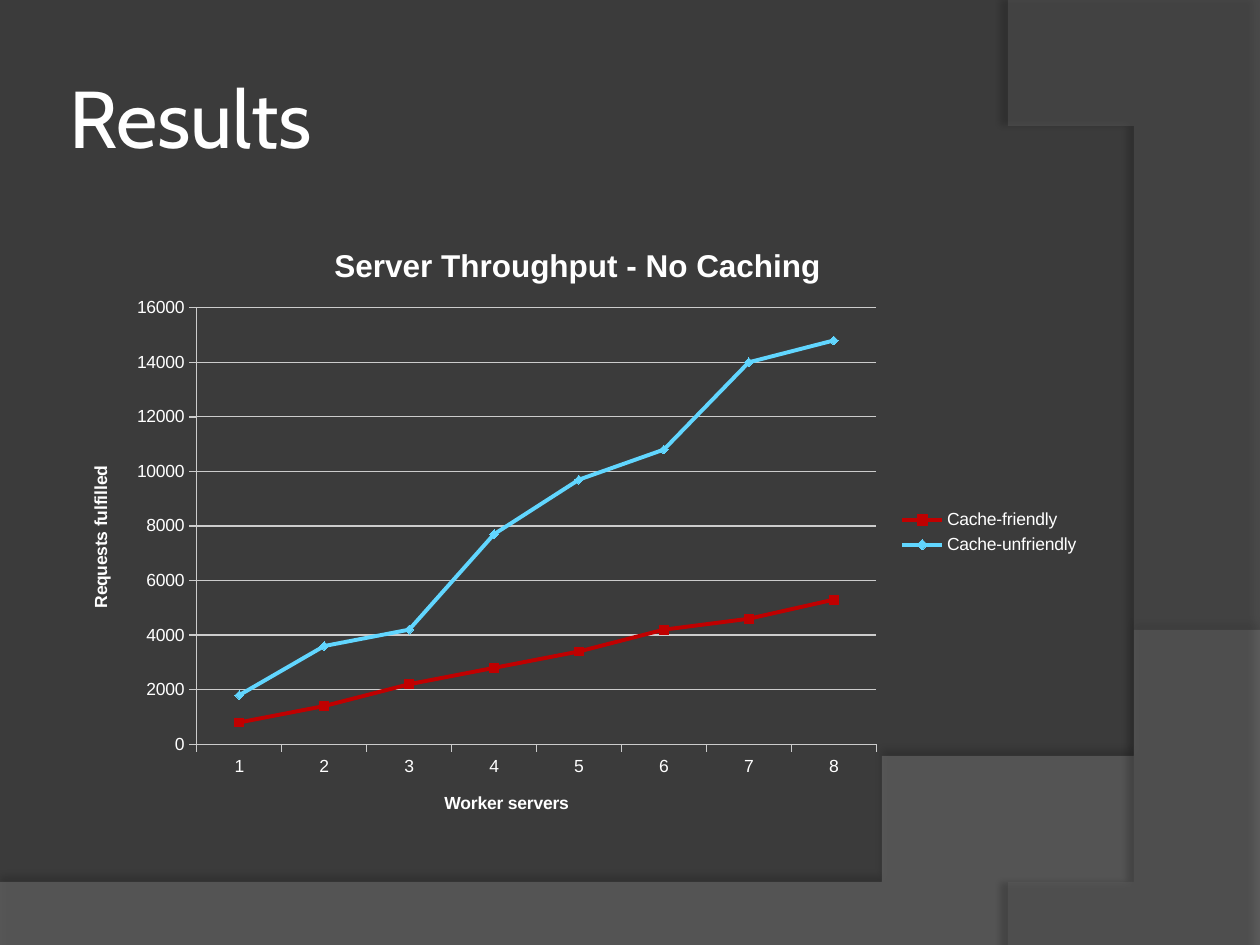
"""Build the Results slide: a server throughput line chart on a dark curved background."""
from lxml import etree
from pptx import Presentation
from pptx import util as u
from pptx.chart.data import CategoryChartData
from pptx.dml.color import RGBColor
from pptx.enum import chart as kinds, text
from pptx.oxml import parse_xml
from pptx.oxml.ns import nsdecls, qn

COLORS = {"back": "3B3B3B", "wave": "808080", "arc": "5F5F5F", "white": "FFFFFF",
          "grid": "CCCCCC", "red": "C00000", "blue": "61D6FF", "black": "000000"}
TITLE = "Results"
CHART_TITLE = "Server Throughput - No Caching"
AXIS_TITLES = {"category": "Worker servers", "value": "Requests fulfilled"}
WORKERS = [str(count) for count in range(1, 9)]
MARKERS = kinds.XL_MARKER_STYLE
SERIES = [
    ("Cache-friendly", [800, 1400, 2200, 2800, 3400, 4200, 4600, 5300], "red", MARKERS.SQUARE),
    ("Cache-unfriendly", [1800, 3600, 4200, 7700, 9700, 10800, 14000, 14800], "blue", MARKERS.DIAMOND),
]
SWOOSHES = [
    {"color": "wave", "opacity": 45, "corners": [(0, 7.05), (0, 7.51), (10, 7.51), (10, 5.2)],
     "curve": [(5.59, 7.29), (3.91, 7.19), (0, 7.05)],
     "shadow": {"opacity": 35, "distance": 3.5, "angle": 270}},
    {"color": "arc", "opacity": 40, "corners": [(10, 0.02), (10, 7.5), (8.21, 7.5)],
     "curve": [(9.35, 6.19), (10.18, 3), (8, 0)],
     "shadow": {"opacity": 45, "distance": 4, "angle": 180}},
]
PLOT = {"x": 0.13, "y": 0.14, "w": 0.66, "h": 0.7}


def rgb(name):
    return RGBColor.from_string(COLORS[name])


def style_font(font, size, color="white", face="Arial", bold=False):
    font.size, font.name, font.bold = u.Pt(size), face, bold
    font.color.rgb = rgb(color)


def bezier(points, steps=48):
    a, b, c, d = points
    for step in range(1, steps + 1):
        t = step / steps
        yield tuple((1 - t) ** 3 * p + 3 * (1 - t) ** 2 * t * q + 3 * (1 - t) * t * t * r + t ** 3 * s
                    for p, q, r, s in zip(a, b, c, d))


def add_swoosh(page, swoosh):
    corners = swoosh["corners"]
    outline = corners[1:] + list(bezier([corners[-1]] + swoosh["curve"]))
    builder = page.shapes.build_freeform(*corners[0], scale=u.Inches(1))
    builder.add_line_segments(outline, close=True)
    shape = builder.convert_to_shape()
    shape.fill.solid()
    shape.fill.fore_color.rgb = rgb(swoosh["color"])
    shape.line.fill.background()
    properties = shape.element.spPr
    fill = properties.find(qn("a:solidFill"))
    etree.SubElement(fill[0], qn("a:alpha"), val=str(swoosh["opacity"] * 1000))
    shadow = swoosh["shadow"]
    properties.append(parse_xml(
        f'<a:effectLst {nsdecls("a")}><a:outerShdw blurRad="{u.Pt(4)}" dist="{u.Pt(shadow["distance"])}" '
        f'dir="{shadow["angle"] * 60000}" algn="ctr" rotWithShape="0"><a:srgbClr val="{COLORS["black"]}">'
        f'<a:alpha val="{shadow["opacity"] * 1000}"/></a:srgbClr></a:outerShdw></a:effectLst>'))


def add_title(page):
    box = page.shapes.add_textbox(u.Inches(0.5), u.Inches(0.3), u.Inches(8.17), u.Inches(1.25))
    frame = box.text_frame
    frame.word_wrap = True
    frame.vertical_anchor = text.MSO_ANCHOR.MIDDLE
    frame.margin_left = frame.margin_right = frame.margin_top = frame.margin_bottom = u.Inches(0.05)
    span = frame.paragraphs[0].add_run()
    span.text = TITLE
    style_font(span.font, 46, face="Cabin")


def write_heading(owner, wording, size):
    span = owner.text_frame.paragraphs[0].add_run()
    span.text = wording
    style_font(span.font, size, bold=True)


def style_axis(axis, wording):
    write_heading(axis.axis_title, wording, 10)
    axis.major_tick_mark = kinds.XL_TICK_MARK.OUTSIDE
    axis.minor_tick_mark = kinds.XL_TICK_MARK.NONE
    axis.format.line.color.rgb = rgb("grid")
    axis.format.line.width = u.Pt(0.75)
    style_font(axis.tick_labels.font, 10)


def place_plot(chart):
    area = chart.element.chart.plotArea
    for old in area.findall(qn("c:layout")):
        area.remove(old)
    edges = "".join(f'<c:{key} val="{value}"/>' for key, value in PLOT.items())
    area.insert(0, parse_xml(
        f'<c:layout {nsdecls("c")}><c:manualLayout><c:layoutTarget val="inner"/>'
        f'<c:xMode val="edge"/><c:yMode val="edge"/>{edges}</c:manualLayout></c:layout>'))


def add_throughput_chart(page):
    data = CategoryChartData()
    data.categories = WORKERS
    for name, values, _, _ in SERIES:
        data.add_series(name, values)
    chart = page.shapes.add_chart(kinds.XL_CHART_TYPE.LINE_MARKERS, u.Inches(0.5), u.Inches(1.75),
                                  u.Inches(8.17), u.Inches(4.95), data).chart
    style_font(chart.font, 10)
    chart.has_title = True
    write_heading(chart.chart_title, CHART_TITLE, 18)
    chart.has_legend = True
    chart.legend.position = kinds.XL_LEGEND_POSITION.RIGHT
    chart.legend.include_in_layout = False
    style_font(chart.legend.font, 10)
    style_axis(chart.category_axis, AXIS_TITLES["category"])
    axis = chart.value_axis
    style_axis(axis, AXIS_TITLES["value"])
    axis.minimum_scale, axis.maximum_scale, axis.major_unit = 0, 16000, 2000
    axis.has_major_gridlines = True
    axis.major_gridlines.format.line.color.rgb = rgb("grid")
    axis.major_gridlines.format.line.width = u.Pt(0.75)
    plot = chart.plots[0]
    plot.vary_by_categories = False
    for series, (_, _, color, marker) in zip(plot.series, SERIES):
        series.smooth = False
        series.format.line.color.rgb = rgb(color)
        series.format.line.width = u.Pt(2.25)
        series.marker.style, series.marker.size = marker, 5
        series.marker.format.fill.solid()
        series.marker.format.fill.fore_color.rgb = rgb(color)
        series.marker.format.line.color.rgb = rgb(color)
    place_plot(chart)


def main():
    deck = Presentation()
    deck.slide_width, deck.slide_height = u.Inches(10), u.Inches(7.5)
    page = deck.slides.add_slide(deck.slide_layouts[6])
    page.background.fill.solid()
    page.background.fill.fore_color.rgb = rgb("back")
    for swoosh in SWOOSHES:
        add_swoosh(page, swoosh)
    add_title(page)
    add_throughput_chart(page)
    deck.save("out.pptx")


if __name__ == "__main__":
    main()
